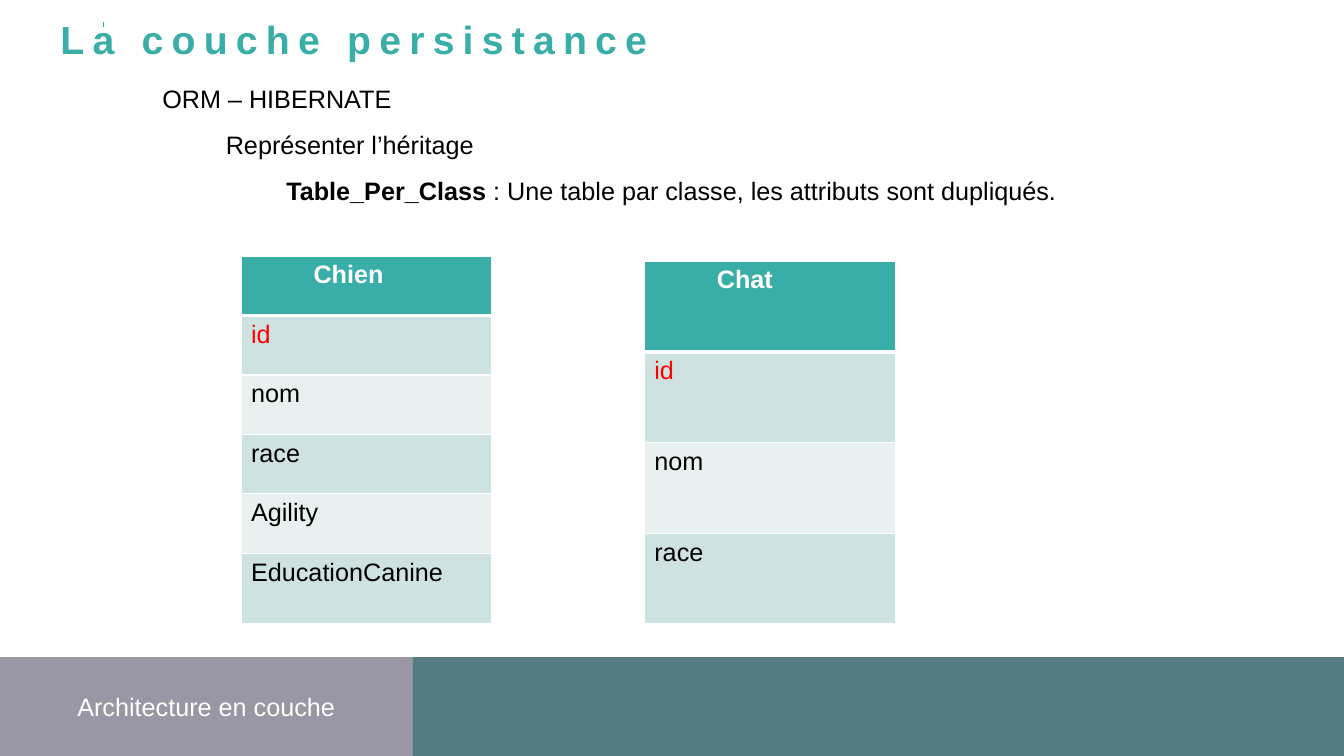
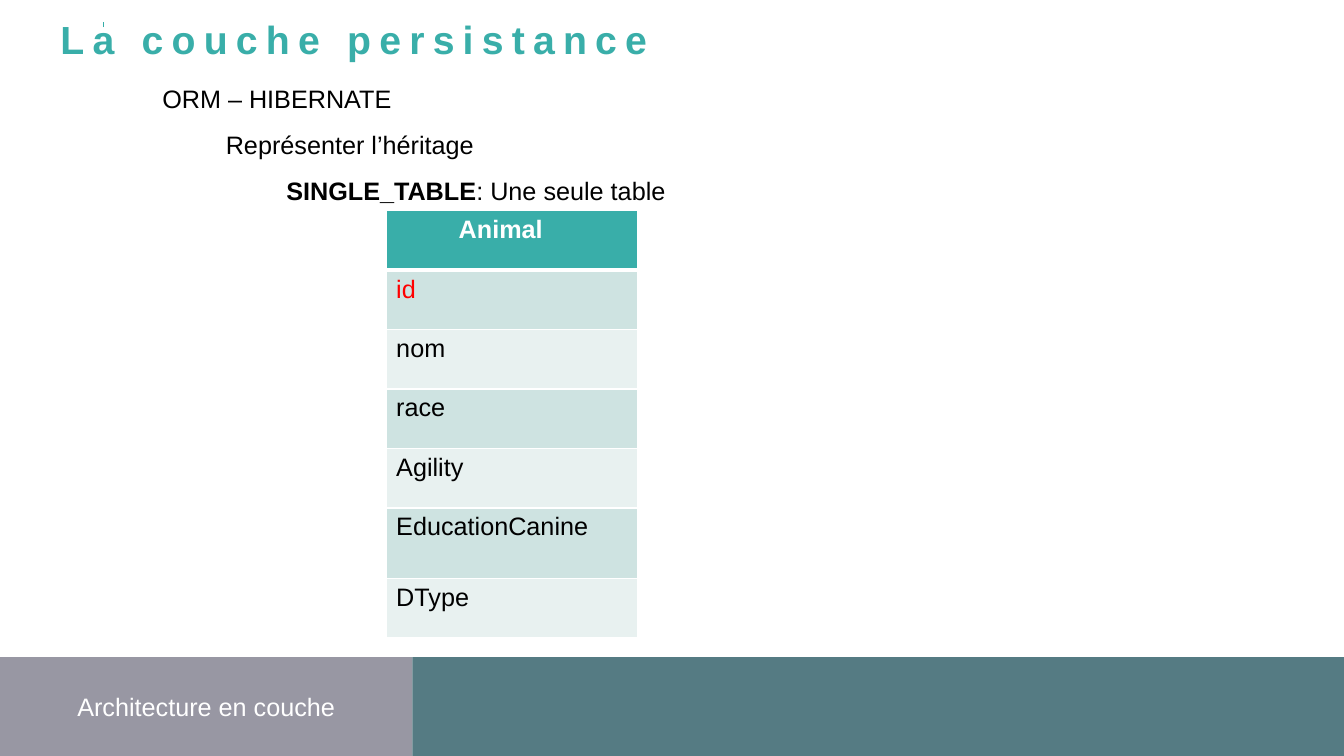
"""Build two slides on mapping inheritance to database tables."""
import dataclasses

import lxml.etree
import pptx
import pptx.dml.color
import pptx.enum.shapes
import pptx.enum.text
import pptx.oxml.ns
import pptx.util

SCALE = 9144
WIDE, HIGH = 1333, 750
ROW, COL = 59, 249


@dataclasses.dataclass(frozen=True)
class Theme:
    font: str = "Arial"
    head: int = 28
    body: int = 18
    lead: int = 25
    gap: int = 11
    track: int = 590
    rule: float = 0.75
    thin: float = 0.96
    thick: float = 3
    teal: str = "39AEA9"
    mark: str = "34ADA8"
    grey: str = "9897A3"
    slate: str = "557B83"
    odd: str = "CEE3E1"
    even: str = "E8F1F0"
    key: str = "FF0000"
    ink: str = "000000"
    white: str = "FFFFFF"


def px(count):
    return pptx.util.Emu(count * SCALE)


def rgb(code):
    return pptx.dml.color.RGBColor.from_string(code)


def add(parent, tag, **attrs):
    return lxml.etree.SubElement(parent, pptx.oxml.ns.qn(tag), attrs)


class Deck:
    def __init__(self, theme):
        self.theme = theme
        self.show = pptx.Presentation()
        self.show.slide_width, self.show.slide_height = px(WIDE), px(HIGH)
        self.slide = None

    def style(self, run, color, size=None, bold=False):
        font = run.font
        font.name = self.theme.font
        font.size = pptx.util.Pt(size or self.theme.body)
        font.bold = bold
        font.color.rgb = rgb(color)

    def place(self, shape, left, top, width, height):
        shape.left, shape.top = px(left), px(top)
        shape.width, shape.height = px(width), px(height)

    def start(self, title, label, items):
        self.slide = self.show.slides.add_slide(self.show.slide_layouts[1])
        self.band(0, 409, self.theme.grey, label)
        self.band(409, WIDE - 409, self.theme.slate)
        self.title(title)
        self.list(items)
        self.tick(103, 27, 22)

    def band(self, left, width, color, label=""):
        shape = self.slide.shapes.add_shape(
            pptx.enum.shapes.MSO_SHAPE.RECTANGLE,
            px(left), px(652), px(width), px(HIGH - 652))
        shape.shadow.inherit = False
        shape.fill.solid()
        shape.fill.fore_color.rgb = rgb(color)
        shape.line.fill.background()
        if label:
            frame = shape.text_frame
            frame.text = label
            frame.vertical_anchor = pptx.enum.text.MSO_ANCHOR.MIDDLE
            para = frame.paragraphs[0]
            para.alignment = pptx.enum.text.PP_ALIGN.CENTER
            self.style(para.runs[0], self.theme.white)

    def title(self, text):
        shape = self.slide.shapes.title
        self.place(shape, 60, 27, 646, 35)
        frame = shape.text_frame
        frame.text = text
        frame.auto_size = pptx.enum.text.MSO_AUTO_SIZE.NONE
        frame.vertical_anchor = pptx.enum.text.MSO_ANCHOR.TOP
        frame.margin_left = frame.margin_right = 0
        frame.margin_top = frame.margin_bottom = 0
        para = frame.paragraphs[0]
        para.alignment = pptx.enum.text.PP_ALIGN.LEFT
        para.line_spacing = pptx.util.Pt(self.theme.lead)
        run = para.runs[0]
        self.style(run, self.theme.teal, self.theme.head, True)
        run._r.get_or_add_rPr().set("spc", str(self.theme.track))

    def list(self, items):
        shape = self.slide.placeholders[1]
        self.place(shape, 151, 78, 952, 128)
        frame = shape.text_frame
        frame.auto_size = pptx.enum.text.MSO_AUTO_SIZE.NONE
        frame.text = "\n".join(strong or plain for strong, plain in items)
        indents = (0, 63, 123)
        for level, (para, item) in enumerate(zip(frame.paragraphs, items)):
            strong, plain = item
            props = para._p.get_or_add_pPr()
            props.set("marL", str(px(indents[level])))
            props.set("indent", "0")
            add(props, "a:buNone")
            para.level = level
            para.space_before = pptx.util.Pt(self.theme.gap if level else 0)
            if strong:
                para.add_run().text = plain
            for spot, run in enumerate(para.runs):
                self.style(run, self.theme.ink, bold=bool(strong) and spot == 0)

    def tick(self, left, start, end):
        line = self.slide.shapes.add_connector(
            pptx.enum.shapes.MSO_CONNECTOR.STRAIGHT,
            px(left), px(start), px(left), px(end))
        line.line.color.rgb = rgb(self.theme.mark)
        line.line.width = pptx.util.Pt(self.theme.rule)
        add(line._element.spPr, "a:effectLst")

    def edge(self, cell, side, width):
        line = add(cell._tc.get_or_add_tcPr(), "a:ln" + side,
                   w=str(pptx.util.Pt(width)))
        add(add(line, "a:solidFill"), "a:srgbClr", val=self.theme.white)

    def table(self, left, top, name, fields, row=ROW, tall=None):
        names = [name, *fields]
        highs = [tall if text == "EducationCanine" else row for text in names]
        shape = self.slide.shapes.add_table(
            len(names), 1, px(left), px(top), px(COL), px(sum(highs)))
        table = shape.table
        table.horz_banding = False
        for spot, (text, high) in enumerate(zip(names, highs)):
            table.rows[spot].height = px(high)
            self.cell(table.cell(spot, 0), spot, text)

    def cell(self, cell, spot, text):
        theme = self.theme
        thick = {0: "B", 1: "T"}.get(spot)
        for side in "LRTB":
            self.edge(cell, side, theme.thick if side == thick else theme.thin)
        fill = theme.odd if spot % 2 else theme.even
        color = theme.key if spot == 1 else theme.ink
        if spot == 0:
            fill, color = theme.teal, theme.white
            cell.margin_left = px(72)
        cell.fill.solid()
        cell.fill.fore_color.rgb = rgb(fill)
        cell.text_frame.text = text
        self.style(cell.text_frame.paragraphs[0].runs[0], color, bold=spot == 0)


def main():
    deck = Deck(Theme())
    title, label = "La couche persistance", "Architecture en couche"
    topics = [("", "ORM – HIBERNATE"), ("", "Représenter l’héritage")]
    cat = ["id", "nom", "race"]
    dog = cat + ["Agility", "EducationCanine"]

    deck.start(title, label, topics + [
        ("Table_Per_Class",
         " : Une table par classe, les attributs sont dupliqués.")])
    deck.table(239, 254, "Chien", dog, tall=70)
    deck.table(639, 259, "Chat", cat, row=90)

    deck.start(title, label, topics + [
        ("SINGLE_TABLE", ": Une seule table")])
    deck.table(383, 209, "Animal", dog + ["DType"], tall=70)

    deck.show.save("out.pptx")


if __name__ == "__main__":
    main()
